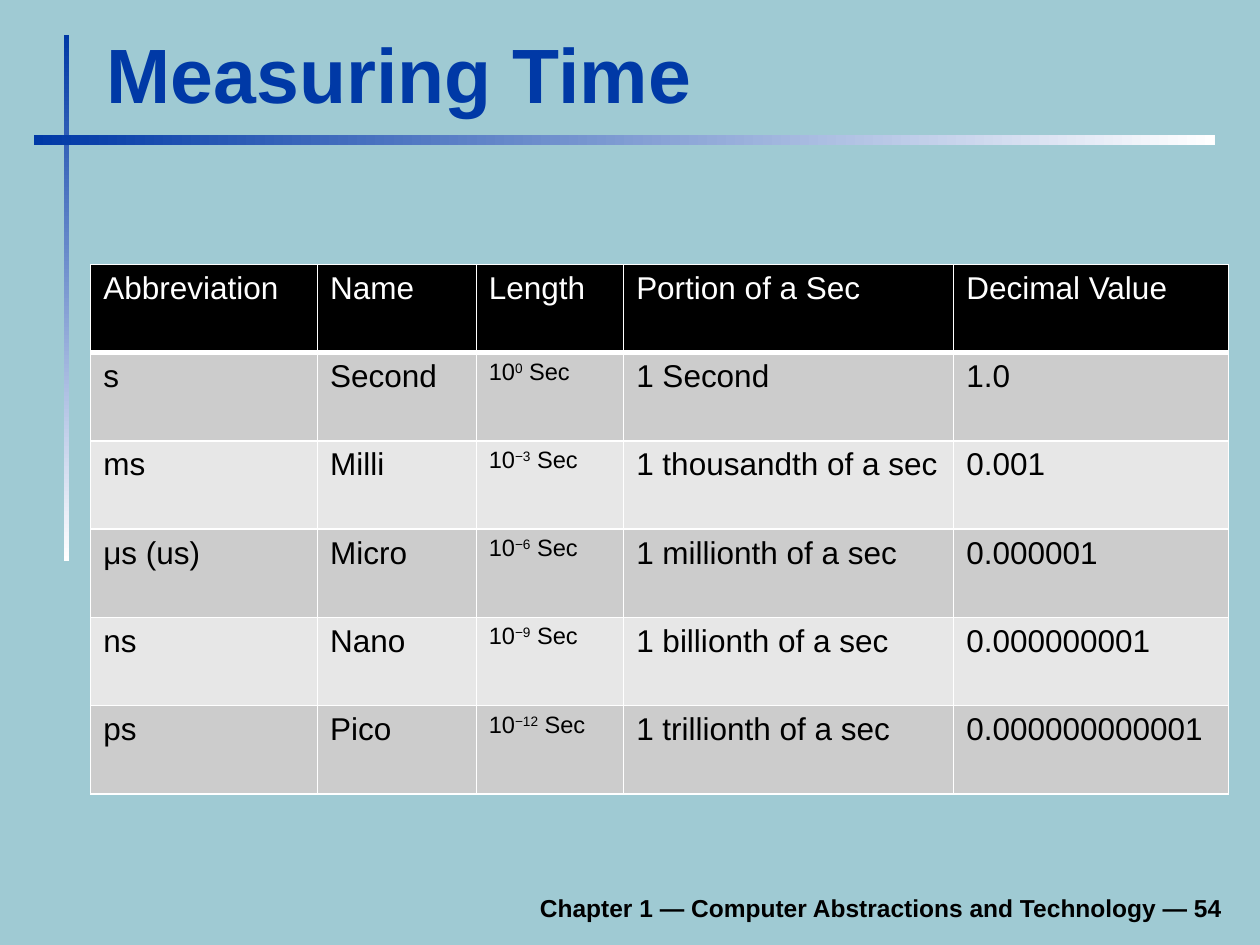
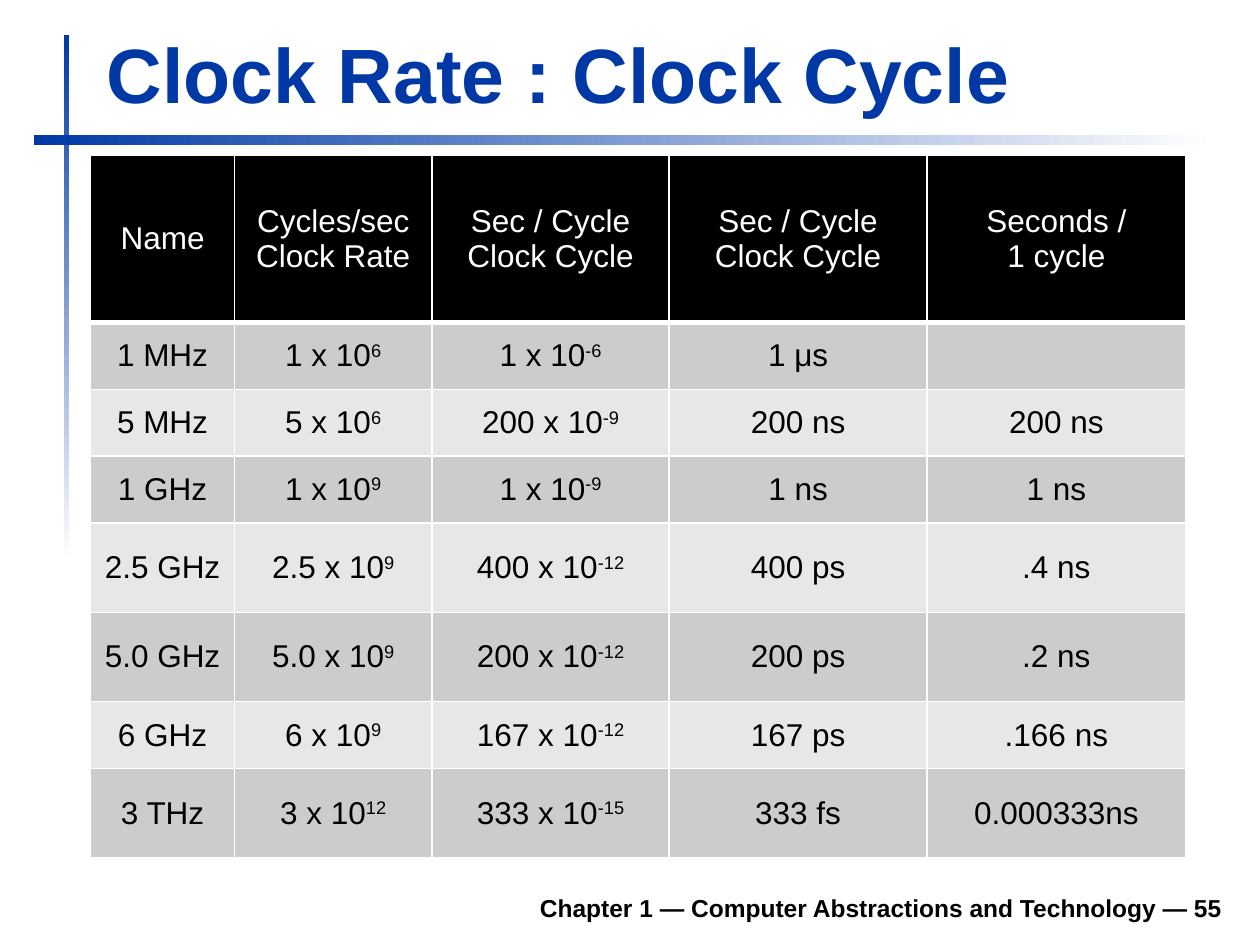
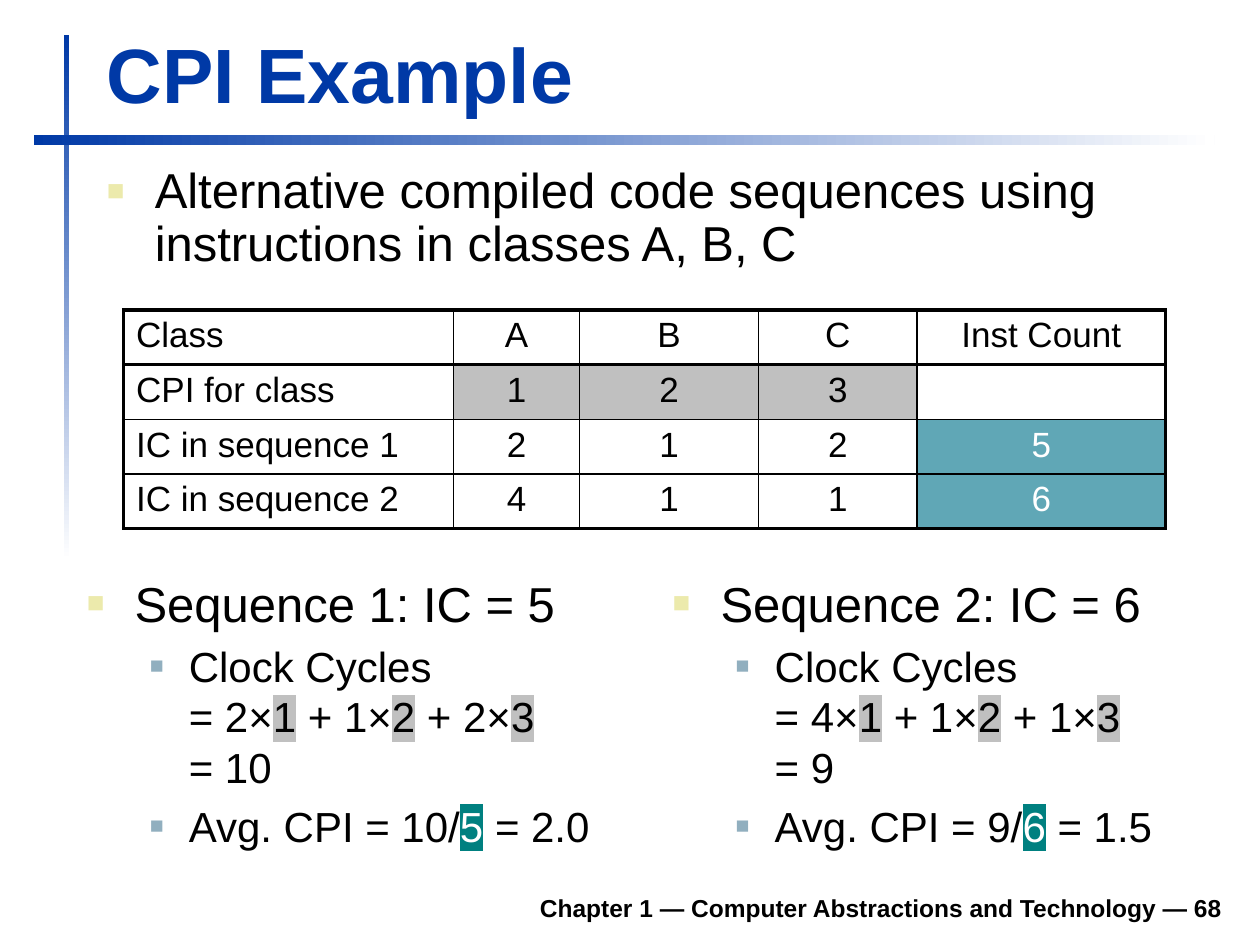
from lxml import etree
from pptx import Presentation
from pptx import util as u
from pptx.dml.color import RGBColor
from pptx.enum import shapes, text
from pptx.oxml.ns import qn

NAVY, BLACK, WHITE = "0039A6", "000000", "FFFFFF"
SKY, SILVER, PALE = "9FCAD3", "CCCCCC", "E7E7E7"
GREY, AQUA, TEAL = "C0C0C0", "60A7B6", "008080"
BULLETS = [("ECEAAC", 60, 0.38, 0.38, 28), ("91AFBF", 55, 0.81, 0.31, 24)]
LEFT, CENTER, RIGHT = text.PP_ALIGN.LEFT, text.PP_ALIGN.CENTER, text.PP_ALIGN.RIGHT
TOP, MIDDLE, BOTTOM = text.MSO_ANCHOR.TOP, text.MSO_ANCHOR.MIDDLE, text.MSO_ANCHOR.BOTTOM


def rgb(value):
    """Turn a hex string into a colour."""
    return RGBColor.from_string(value)


def add_color(parent, tag, value):
    """Append a colour-holding element to a parent."""
    holder = etree.SubElement(parent, qn(tag))
    etree.SubElement(holder, qn("a:srgbClr"), val=value)


def superscript(run):
    """Raise a run above the baseline."""
    run.font._element.set("baseline", "30000")


def marker(background, color=None):
    """Return a style that highlights a run."""
    def highlight(run):
        if color:
            run.font.color.rgb = rgb(color)
        add_color(run.font._element, "a:highlight", background)
    return highlight


def banded(row, col):
    """Give the fill and font colour of a banded table cell."""
    if row == 0:
        return BLACK, WHITE
    return (SILVER if row % 2 else PALE), BLACK


def cpi_cell(row, col):
    """Give the fill and font colour of a CPI table cell."""
    if row == 1 and 1 <= col <= 3:
        return GREY, BLACK
    if row > 1 and col == 4:
        return AQUA, WHITE
    return None, BLACK


class Deck:
    """Hold the shared style and the current slide."""

    font = "Arial"

    def __init__(self):
        """Start an empty 10 by 7.5 inch deck."""
        self.show = Presentation()
        self.show.slide_width, self.show.slide_height = u.Inches(10), u.Inches(7.5)

    def page(self, title, number, background=WHITE):
        """Open a slide with its bands, title and footer."""
        self.slide = self.show.slides.add_slide(self.show.slide_layouts[6])
        self.slide.background.fill.solid()
        self.slide.background.fill.fore_color.rgb = rgb(background)
        self.band(0.51, 0.28, 0.04, 4.17, 270)
        self.band(0.27, 1.07, 9.37, 0.08, 0)
        self.label(0.75, 0.16, 9.03, 0.83, title, 44, NAVY, LEFT)
        footer = f"Chapter 1 — Computer Abstractions and Technology — {number}"
        self.label(1.85, 6.98, 7.95, 0.39, footer, 14, BLACK, RIGHT)

    def band(self, left, top, width, height, angle):
        """Draw a bar fading from navy to white."""
        bar = self.slide.shapes.add_shape(
            shapes.MSO_SHAPE.RECTANGLE, *map(u.Inches, (left, top, width, height)))
        bar.shadow.inherit = False
        bar.line.fill.background()
        bar.fill.gradient()
        bar.fill.gradient_angle = angle
        for stop, color in zip(bar.fill.gradient_stops, (NAVY, WHITE)):
            stop.color.rgb = rgb(color)

    def frame(self, left, top, width, height):
        """Add a wrapping text box and return its text frame."""
        box = self.slide.shapes.add_textbox(*map(u.Inches, (left, top, width, height)))
        box.text_frame.word_wrap = True
        return box.text_frame

    def label(self, left, top, width, height, words, size, color, align):
        """Add one bold line that sits at the bottom of its box."""
        frame = self.frame(left, top, width, height)
        frame.vertical_anchor = BOTTOM
        self.set_words(frame.paragraphs[0], words, size, color, align, bold=True)

    def set_words(self, paragraph, words, size, color, align=LEFT, bold=False, style=None):
        """Fill a paragraph; parts between bars take the given style."""
        paragraph.alignment = align
        font = paragraph.font
        font.name, font.size, font.bold = self.font, u.Pt(size), bold
        font.color.rgb = rgb(color)
        for index, part in enumerate(words.split("|")):
            for line, piece in enumerate(part.split("\n")):
                if line:
                    paragraph.add_line_break()
                if piece:
                    run = paragraph.add_run()
                    run.text = piece
                    if index % 2:
                        style(run)

    def bullets(self, left, top, width, height, items, spacing=1.0):
        """Add a bulleted list of (level, words, style) items."""
        frame = self.frame(left, top, width, height)
        frame.margin_top = u.Inches(0.09)
        for index, (level, words, style) in enumerate(items):
            paragraph = frame.add_paragraph() if index else frame.paragraphs[0]
            color, percent, indent, hang, size = BULLETS[level]
            paragraph.level = level
            props = paragraph._p.get_or_add_pPr()
            props.set("marL", str(u.Inches(indent)))
            props.set("indent", str(-u.Inches(hang)))
            add_color(props, "a:buClr", color)
            etree.SubElement(props, qn("a:buSzPct"), val=str(percent * 1000))
            etree.SubElement(props, qn("a:buFont"), typeface=self.font)
            etree.SubElement(props, qn("a:buChar"), char="■")
            paragraph.line_spacing = spacing
            if index:
                paragraph.space_before = u.Pt(size * 0.2)
            self.set_words(paragraph, words, size, BLACK, style=style)

    def table(self, left, top, widths, heights, rows, look, aligns, sizes,
              anchor=TOP, rule=WHITE, thick=3, framed=False):
        """Add a table; look gives each cell its fill and font colour."""
        grid = self.slide.shapes.add_table(
            len(rows), len(widths), *map(u.Inches, (left, top, sum(widths), sum(heights)))).table
        for column, width in zip(grid.columns, widths):
            column.width = u.Inches(width)
        for line, height in zip(grid.rows, heights):
            line.height = u.Inches(height)
        for r, values in enumerate(rows):
            for c, value in enumerate(values):
                cell = grid.cell(r, c)
                cell.vertical_anchor = anchor
                fill, color = look(r, c)
                heavy = {"L": framed and c == 0, "R": framed and c == len(widths) - 1,
                         "T": framed and r < 2,
                         "B": r == 0 or framed and r == len(rows) - 1}
                for side, is_heavy in heavy.items():
                    edge = etree.SubElement(
                        cell._tc.get_or_add_tcPr(), qn(f"a:ln{side}"),
                        w=str(u.Pt(thick if is_heavy else 1)))
                    add_color(edge, "a:solidFill", rule)
                if fill:
                    cell.fill.solid()
                    cell.fill.fore_color.rgb = rgb(fill)
                else:
                    cell.fill.background()
                size = sizes[c] if r else sizes[0]
                frame = cell.text_frame
                for index, words in enumerate(str(value).split("\n")):
                    paragraph = frame.add_paragraph() if index else frame.paragraphs[0]
                    self.set_words(paragraph, words, size, color, aligns[c], style=superscript)


def measuring_time(deck):
    """Build the slide on units of time."""
    deck.page("Measuring Time", 54, SKY)
    units = [
        ("Abbreviation", "Name", "Length", "Portion of a Sec", "Decimal Value"),
        ("s", "Second", "10|0| Sec", "1 Second", "1.0"),
        ("ms", "Milli", "10|−3| Sec", "1 thousandth of a sec", "0.001"),
        ("μs (us)", "Micro", "10|−6| Sec", "1 millionth of a sec", "0.000001"),
        ("ns", "Nano", "10|−9| Sec", "1 billionth of a sec", "0.000000001"),
        ("ps", "Pico", "10|−12| Sec", "1 trillionth of a sec", "0.000000000001"),
    ]
    deck.table(0.72, 2.1, [1.8, 1.26, 1.17, 2.62, 2.18], [0.7] * 6, units, banded,
               [LEFT] * 5, [18, 18, 13.5, 18, 18])


def clock_rate(deck):
    """Build the slide on clock rates and cycles."""
    deck.page("Clock Rate : Clock Cycle", 55)
    cycle = "Sec / Cycle\nClock Cycle"
    rates = [
        ("Name", "Cycles/sec\nClock Rate", cycle, cycle, "Seconds /\n1 cycle"),
        ("1 MHz", "1 x 10|6|", "1 x 10|-6|", "1 μs", ""),
        ("5 MHz", "5 x 10|6|", "200 x 10|-9|", "200 ns", "200 ns"),
        ("1 GHz", "1 x 10|9|", "1 x 10|-9|", "1 ns", "1 ns"),
        ("2.5 GHz", "2.5 x 10|9|", "400 x 10|-12|", "400 ps", ".4 ns"),
        ("5.0 GHz", "5.0 x 10|9|", "200 x 10|-12|", "200 ps", ".2 ns"),
        ("6 GHz", "6 x 10|9|", "167 x 10|-12|", "167 ps", ".166 ns"),
        ("3 THz", "3 x 10|12|", "333 x 10|-15|", "333 fs", "0.000333ns"),
    ]
    deck.table(0.72, 1.23, [1.14, 1.57, 1.88, 2.05, 2.05],
               [1.33, 0.53, 0.53, 0.53, 0.71, 0.71, 0.53, 0.71], rates, banded,
               [CENTER] * 5, [18] * 5, MIDDLE)


def cpi_example(deck):
    """Build the worked example on cycles per instruction."""
    deck.page("CPI Example", 68)
    deck.bullets(0.75, 1.23, 9.05, 1.09, [
        (0, "Alternative compiled code sequences using instructions in classes A, B, C", None),
    ], spacing=0.9)
    cpi = (1, 2, 3)
    sequences = [(2, 1, 2), (4, 1, 1)]
    classes = [("Class", "A", "B", "C", "Inst Count"), ("CPI for class", *cpi, "")]
    for number, counts in enumerate(sequences, 1):
        total = sum(counts)
        cycles = sum(count * cost for count, cost in zip(counts, cpi))
        terms = " + ".join(f"{count}×|{cost}|" for count, cost in zip(counts, cpi))
        classes.append((f"IC in sequence {number}", *counts, total))
        deck.bullets(0.59 + 4.65 * (number - 1), 4.46, 4.25, 2.28, [
            (0, f"Sequence {number}: IC = {total}", None),
            (1, f"Clock Cycles\n= {terms}\n= {cycles}", marker(GREY)),
            (1, f"Avg. CPI = {cycles}/|{total}| = {cycles / total:.1f}", marker(TEAL, WHITE)),
        ])
    deck.table(0.98, 2.46, [2.62, 1, 1.42, 1.26, 1.97], [0.42, 0.41, 0.41, 0.42], classes,
               cpi_cell, [LEFT] + [CENTER] * 4, [20] * 5, rule=BLACK, thick=2.25, framed=True)


def main():
    """Build the slides and save the deck."""
    deck = Deck()
    for build in (measuring_time, clock_rate, cpi_example):
        build(deck)
    deck.show.save("out.pptx")


if __name__ == "__main__":
    main()
